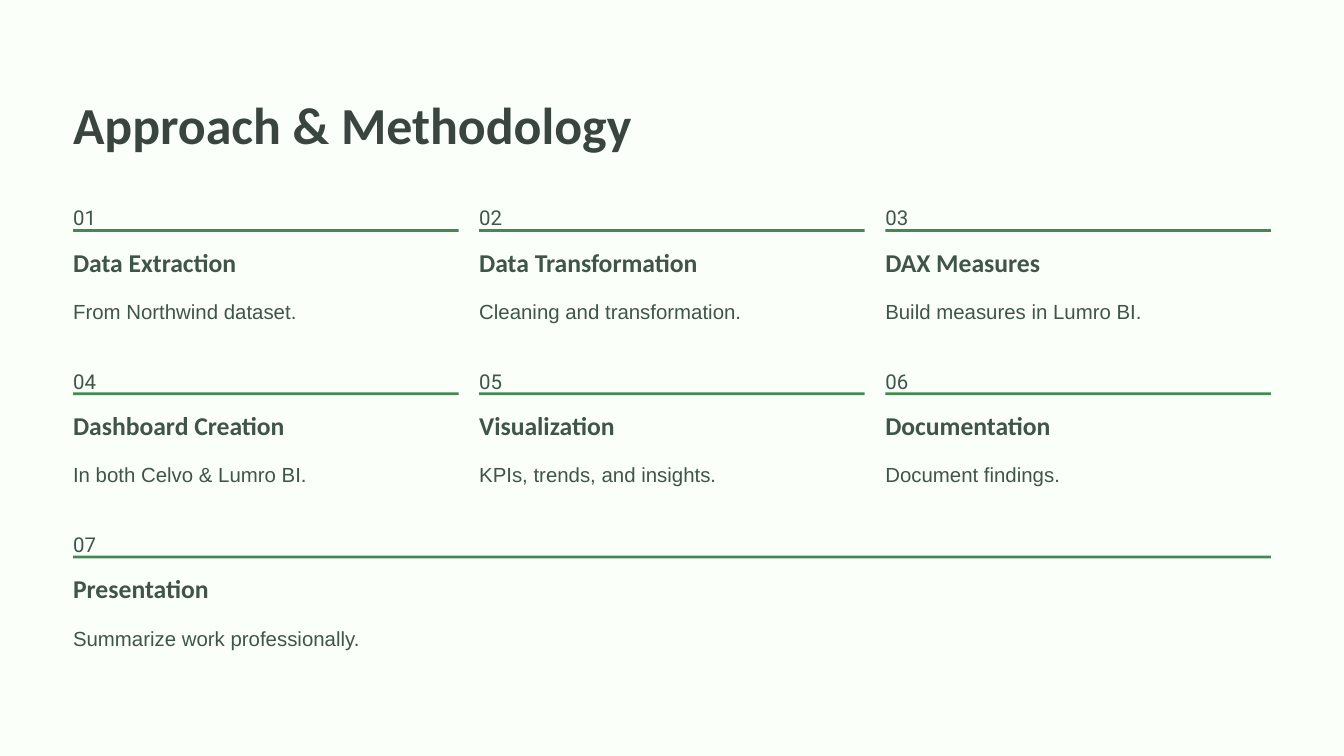
from pptx import Presentation
from pptx.dml.color import RGBColor
from pptx.enum.shapes import MSO_SHAPE
from pptx.enum.text import MSO_ANCHOR, MSO_AUTO_SIZE, PP_ALIGN
from pptx.util import Pt

LEFT, WIDTH, GAP, COLS = 62.64, 1026.72, 17.6, 3
TOP, ROW_PITCH = 168.5, 140
INK = "405449"
STEPS = [
    ("Data Extraction", "From Northwind dataset."),
    ("Data Transformation", "Cleaning and transformation."),
    ("DAX Measures", "Build measures in Lumro BI."),
    ("Dashboard Creation", "In both Celvo & Lumro BI."),
    ("Visualization", "KPIs, trends, and insights."),
    ("Documentation", "Document findings."),
    ("Presentation", "Summarize work professionally."),
]


def rgb(value):
    """Turn a hex string into a colour."""
    return RGBColor.from_string(value)


def place(sp, x, y, w, h):
    """Move and size a shape in points."""
    sp.left, sp.top, sp.width, sp.height = Pt(x), Pt(y), Pt(w), Pt(h)


def write(sp, text, font, size, leading, color=INK, bold=False):
    """Write one formatted line into a shape without margins."""
    tf = sp.text_frame
    tf.word_wrap = True
    tf.auto_size = MSO_AUTO_SIZE.NONE
    tf.vertical_anchor = MSO_ANCHOR.TOP
    tf.margin_left = tf.margin_right = tf.margin_top = tf.margin_bottom = 0
    p = tf.paragraphs[0]
    p.alignment = PP_ALIGN.LEFT
    p.line_spacing = Pt(leading)
    p.space_before = Pt(0)
    r = p.add_run()
    r.text = text
    r.font.name, r.font.size, r.font.bold = font, Pt(size), bold
    r.font.color.rgb = rgb(color)


def add_title(s, text, x, y, w, h):
    """Fill the title placeholder."""
    place(s.shapes.title, x, y, w, h)
    write(s.shapes.title, text, "Calibri", 44.5, 55.5, "3B4540", True)


def add_step(s, number, name, detail, x, y, w):
    """Draw one numbered step with its rule, name and detail."""
    lines = [
        (f"{number:02}", 0, 22.3, "Roboto", 17.5, 28.5, False),
        (name, 41.8, 28, "Calibri", 22, 27.5, True),
        (detail, 80.5, 28.8, "Arial", 17.5, 28.5, False),
    ]
    for text, dy, h, font, size, leading, bold in lines:
        sp = s.shapes.add_textbox(Pt(x), Pt(y + dy), Pt(w), Pt(h))
        write(sp, text, font, size, leading, bold=bold)
    rule = s.shapes.add_shape(MSO_SHAPE.RECTANGLE, Pt(x), Pt(y + 27.8), Pt(w), Pt(2.4))
    rule.shadow.inherit = False
    rule.fill.solid()
    rule.fill.fore_color.rgb = rgb("438951")
    rule.line.fill.background()


def add_steps(s, x, y, w):
    """Lay the steps out in a grid whose last lone step spans the width."""
    col = (w - GAP * (COLS - 1)) / COLS
    for i, (name, detail) in enumerate(STEPS):
        row, c = divmod(i, COLS)
        alone = c == 0 and i == len(STEPS) - 1
        add_step(s, i + 1, name, detail, x + c * (col + GAP),
                 y + row * ROW_PITCH, w if alone else col)


def main():
    """Build and save the slide."""
    prs = Presentation()
    prs.slide_width, prs.slide_height = Pt(1152), Pt(648)
    s = prs.slides.add_slide(prs.slide_layouts[5])
    s.background.fill.solid()
    s.background.fill.fore_color.rgb = rgb("FAFFFA")
    add_title(s, "Approach & Methodology", LEFT, 77, 575, 56)
    add_steps(s, LEFT, TOP, WIDTH)
    prs.save("out.pptx")


if __name__ == "__main__":
    main()
